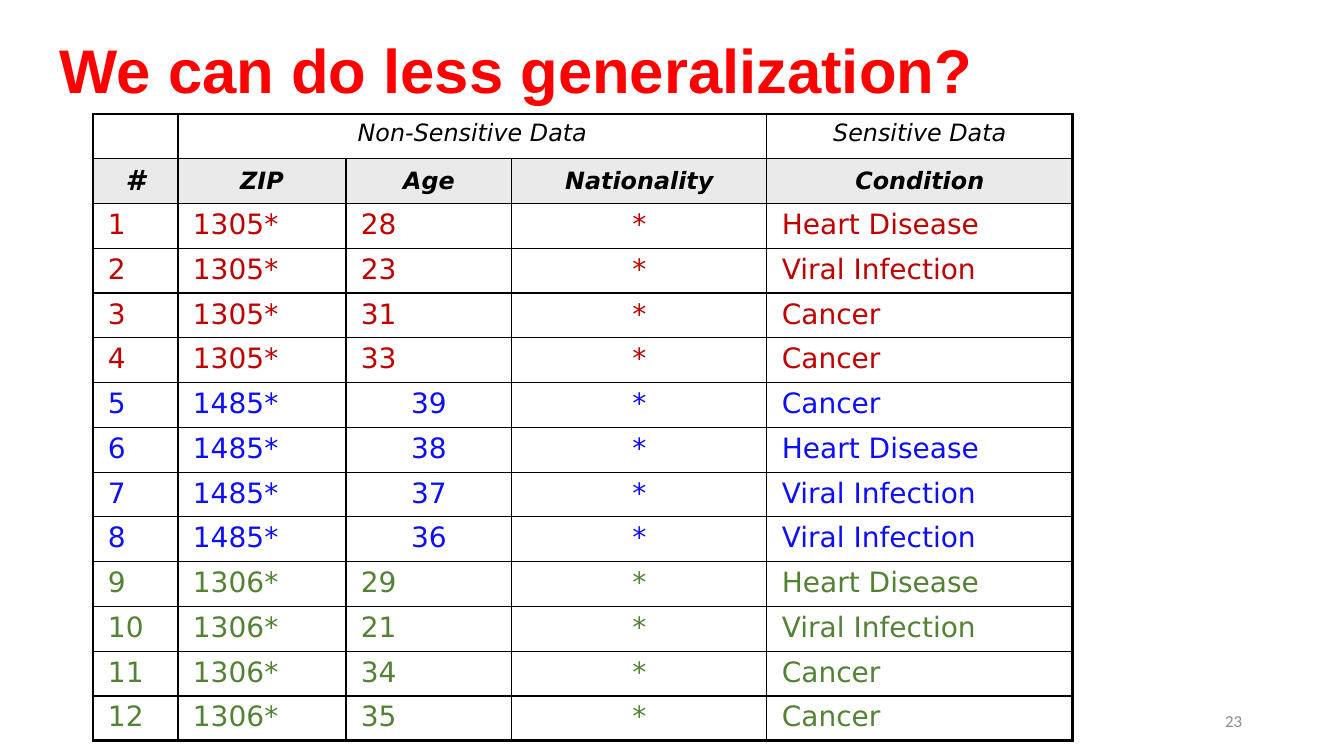
import dataclasses

import lxml.etree
import pptx
import pptx.dml.color
import pptx.enum.text
import pptx.oxml.ns
import pptx.util

TITLE = "We can do less generalization?"
PAGE_NUMBER = "23"
GROUP_HEADERS = ["", "Non-Sensitive Data", "", "", "Sensitive Data"]
COLUMN_HEADERS = ["#", "ZIP", "Age", "Nationality", "Condition"]
# ZIP, text colour, age alignment, (age, condition) of each patient
GROUPS = [
    ("1305*", "C00000", "left", [
        ("28", "Heart Disease"), ("23", "Viral Infection"),
        ("31", "Cancer"), ("33", "Cancer")]),
    ("1485*", "0D0EFF", "center", [
        ("39", "Cancer"), ("38", "Heart Disease"),
        ("37", "Viral Infection"), ("36", "Viral Infection")]),
    ("1306*", "548235", "left", [
        ("29", "Heart Disease"), ("21", "Viral Infection"),
        ("34", "Cancer"), ("35", "Cancer")]),
]


@dataclasses.dataclass(frozen=True)
class Theme:
    title_font: str = "Arial"
    table_font: str = "DejaVu Sans"
    page_font: str = "Calibri"
    title_size: int = 44
    header_size: int = 17
    body_size: int = 20
    page_size: int = 12
    title: str = "FF0000"
    ink: str = "000000"
    page: str = "8C8C8C"
    header_fill: str = "EAEAEA"
    cell_fill: str = "FFFFFF"
    thin: float = 1
    thick: float = 2.25


THEME = Theme()
EMU_PER_PX = 914400 / 100.8
SLIDE_SIZE = (1344, 756)
TITLE_BOX = (50, 1, 1159, 146)
PAGE_BOX = (950, 701, 302, 40)
TABLE_LEFT, TABLE_TOP, TABLE_HEIGHT = 93, 114, 627
COLUMN_WIDTHS = [85, 168, 166, 255, 306]
ROW_COUNT = 2 + sum(len(patients) for *_, patients in GROUPS)
MARGIN_X, MARGIN_Y = 15, 5

ALIGN = pptx.enum.text.PP_ALIGN
MIDDLE = pptx.enum.text.MSO_ANCHOR.MIDDLE


def px(n):
    return pptx.util.Emu(round(n * EMU_PER_PX))


def rgb(color):
    return pptx.dml.color.RGBColor.from_string(color)


def write(tf, text, font, size, color, align="left", bold=False, italic=False):
    p = tf.paragraphs[0]
    p.text = text
    p.alignment = getattr(ALIGN, align.upper())
    p.font.name = font
    p.font.size = pptx.util.Pt(size)
    p.font.color.rgb = rgb(color)
    p.font.bold = bold
    p.font.italic = italic
    return p


def add_text(slide, box, *style, **options):
    tf = slide.shapes.add_textbox(*map(px, box)).text_frame
    tf.word_wrap = True
    tf.vertical_anchor = MIDDLE
    return write(tf, *style, **options)


def set_borders(cell, row, col):
    """Draw thin lines inside the table and thick ones along its outer edge."""
    outer = {"lnL": col == 0, "lnR": col == len(COLUMN_WIDTHS) - 1,
             "lnT": row == 0, "lnB": row == ROW_COUNT - 1}
    qn = pptx.oxml.ns.qn
    tc_pr = cell._tc.get_or_add_tcPr()
    for i, (side, is_outer) in enumerate(outer.items()):
        width = pptx.util.Pt(THEME.thick if is_outer else THEME.thin)
        ln = lxml.etree.Element(qn("a:" + side), w=str(int(width)))
        fill = lxml.etree.SubElement(ln, qn("a:solidFill"))
        lxml.etree.SubElement(fill, qn("a:srgbClr"), val=THEME.ink)
        tc_pr.insert(i, ln)


def fill_cell(cell, row, col, text, size, color, align, fill=THEME.cell_fill, **options):
    cell.margin_left = cell.margin_right = px(MARGIN_X)
    cell.margin_top = cell.margin_bottom = px(MARGIN_Y)
    cell.fill.solid()
    cell.fill.fore_color.rgb = rgb(fill)
    set_borders(cell, row, col)
    write(cell.text_frame, text, THEME.table_font, size, color, align, **options)


def add_patient_table(slide):
    frame = slide.shapes.add_table(
        ROW_COUNT, len(COLUMN_WIDTHS), px(TABLE_LEFT), px(TABLE_TOP),
        px(sum(COLUMN_WIDTHS)), px(TABLE_HEIGHT))
    table = frame.table
    table.first_row = table.horz_banding = False
    for column, width in zip(table.columns, COLUMN_WIDTHS):
        column.width = px(width)
    for row in table.rows:
        row.height = px(TABLE_HEIGHT / ROW_COUNT)

    table.cell(0, 1).merge(table.cell(0, 3))
    for col, (group, header) in enumerate(zip(GROUP_HEADERS, COLUMN_HEADERS)):
        fill_cell(table.cell(0, col), 0, col, group, THEME.header_size,
                  THEME.ink, "center", italic=True)
        size = THEME.body_size if col == 0 else THEME.header_size
        cell = table.cell(1, col)
        fill_cell(cell, 1, col, header, size, THEME.ink, "center",
                  THEME.header_fill, bold=True, italic=True)
        cell.vertical_anchor = MIDDLE

    row = 2
    for zip_code, color, age_align, patients in GROUPS:
        aligns = ["left", "left", age_align, "center", "left"]
        for age, condition in patients:
            values = [str(row - 1), zip_code, age, "*", condition]
            for col, (value, align) in enumerate(zip(values, aligns)):
                fill_cell(table.cell(row, col), row, col, value,
                          THEME.body_size, color, align)
            row += 1


def main():
    prs = pptx.Presentation()
    prs.slide_width, prs.slide_height = map(px, SLIDE_SIZE)
    slide = prs.slides.add_slide(prs.slide_layouts[6])
    title = add_text(slide, TITLE_BOX, TITLE, THEME.title_font,
                     THEME.title_size, THEME.title, bold=True)
    title.line_spacing = 0.9
    add_patient_table(slide)
    add_text(slide, PAGE_BOX, PAGE_NUMBER, THEME.page_font,
             THEME.page_size, THEME.page, align="right")
    prs.save("out.pptx")


if __name__ == "__main__":
    main()
